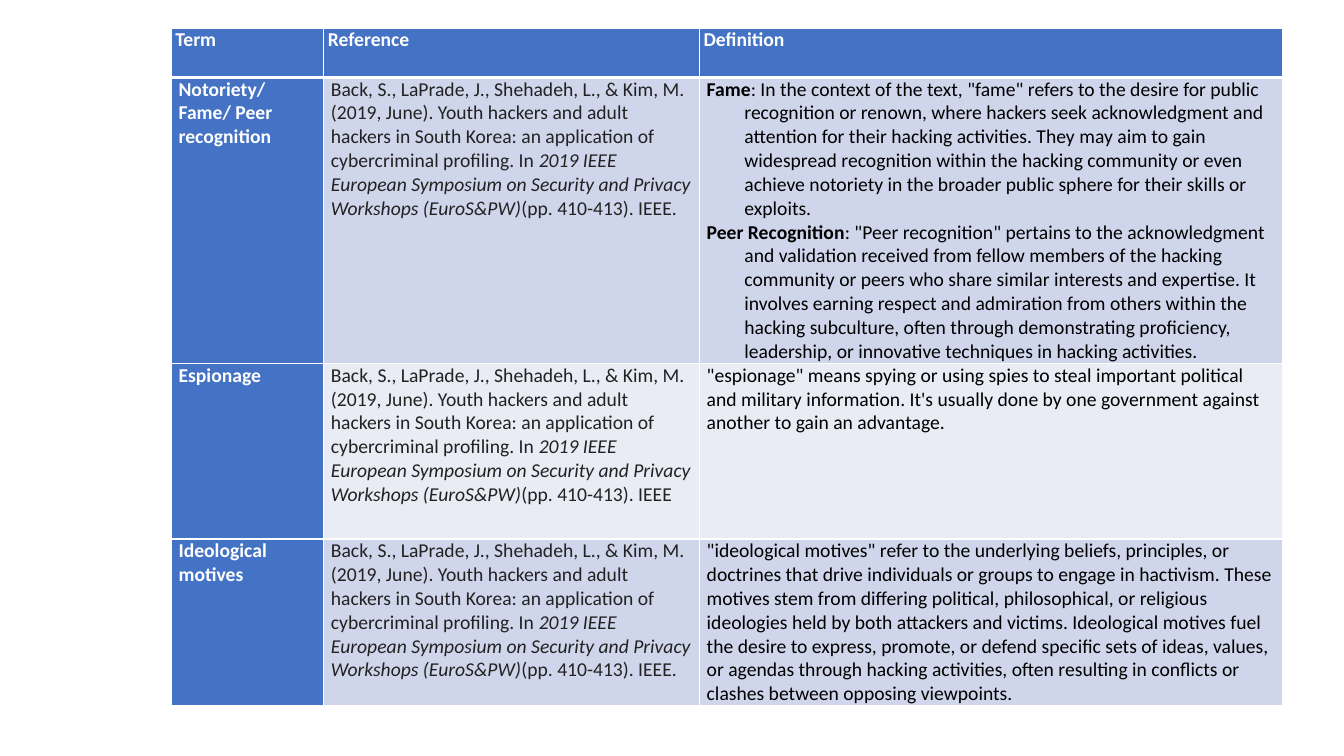
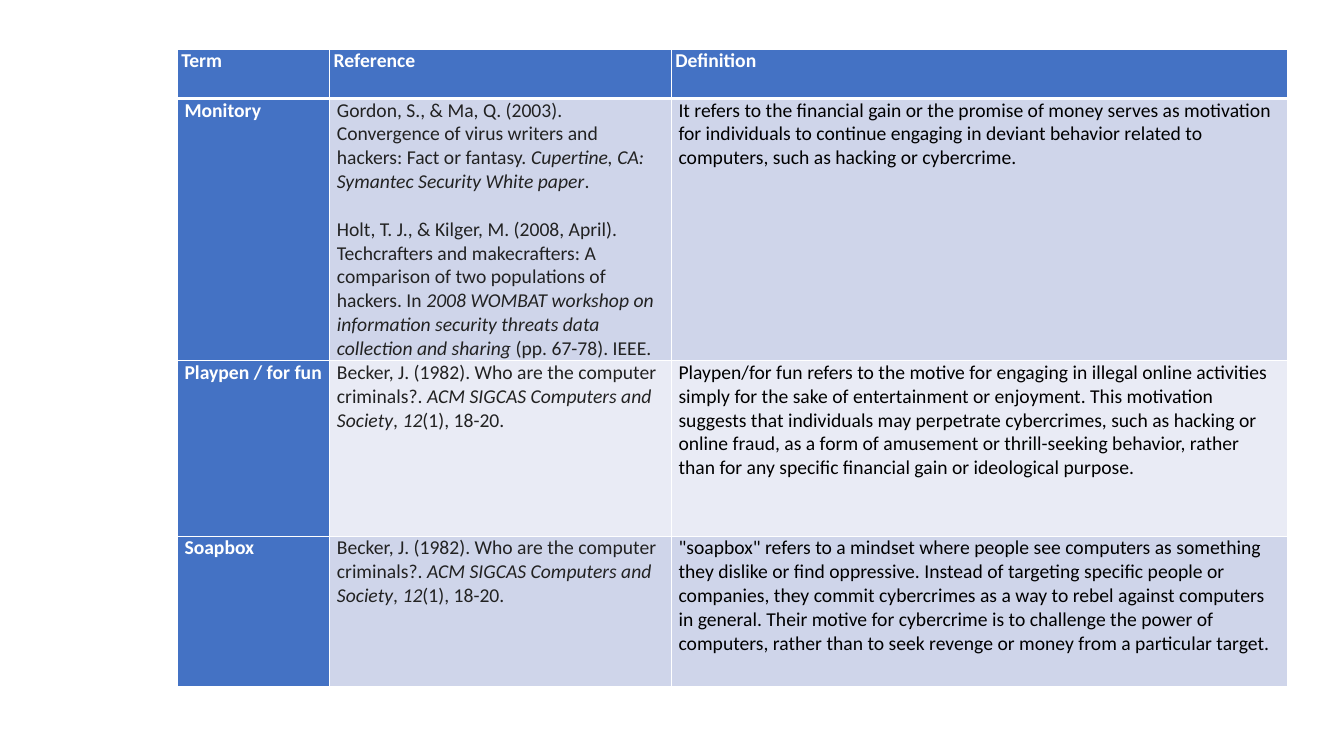
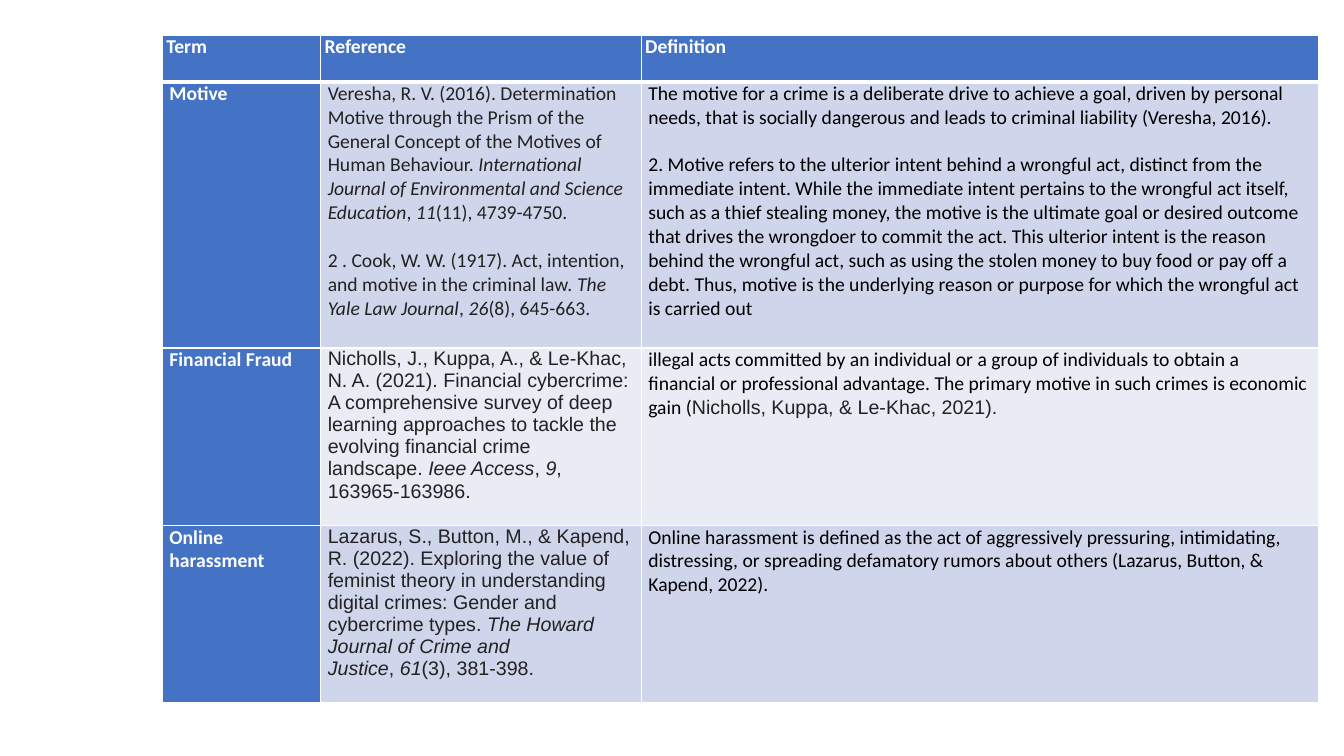
"""Three glossary slides of cybercrime motives, each one table of terms, references and definitions."""
from lxml import etree
from pptx import Presentation
from pptx import util as u
from pptx.dml.color import RGBColor
from pptx.oxml.ns import qn

COLORS = {
    "accent": "4472C4",
    "band": "CFD5EA",
    "light": "E9EBF5",
    "white": "FFFFFF",
    "citation": "222222",
    "body": "000000",
}
BODY_FONT, CITATION_FONT = "Calibri", "Arial"
TEXT_SIZE = u.Pt(14)
ENTRY_GAP = u.Pt(17)
HANGING = u.Cm(0.95)
HEADINGS = ["Term", "Reference", "Definition"]
ITALIC, BOLD, CITED = "*", "^", "~"
NO_BREAK_SPACE = chr(160)

BACK = (
    "Back, S., LaPrade, J., Shehadeh, L., & Kim, M. (2019, June). Youth hackers and adult hackers in "
    "South Korea: an application of cybercriminal profiling. In *2019 IEEE European Symposium on "
    "Security and Privacy Workshops (EuroS&PW)*(pp. 410-413). IEEE"
)
BECKER = "Becker, J. (1982). Who are the computer criminals?. *ACM SIGCAS Computers and Society*, *12*(1), 18-20."

GLOSSARY = [
    {
        "left": 4.32, "top": 0.71, "height": 16.94,
        "columns": [3.84, 9.47, 14.68],
        "rows": [1.24, 5.69, 4.42, 3.78],
        "entries": [
            ("Notoriety/ Fame/ Peer recognition", [BACK + "."], [
                '^Fame^: In the context of the text, "fame" refers to the desire for public recognition or '
                "renown, where hackers seek acknowledgment and attention for their hacking activities. They "
                "may aim to gain widespread recognition within the hacking community or even achieve "
                "notoriety in the broader public sphere for their skills or exploits.",
                '^Peer Recognition^: "Peer recognition" pertains to the acknowledgment and validation '
                "received from fellow members of the hacking community or peers who share similar interests "
                "and expertise. It involves earning respect and admiration from others within the hacking "
                "subculture, often through demonstrating proficiency, leadership, or innovative techniques "
                "in hacking activities.",
            ], BODY_FONT),
            ("Espionage", [BACK], [
                '"espionage" means spying or using spies to steal important political and military '
                "information. It's usually done by one government against another to gain an advantage.",
            ], BODY_FONT),
            ("Ideological motives", [BACK + "."], [
                '"ideological motives" refer to the underlying beliefs, principles, or doctrines that drive '
                "individuals or groups to engage in hactivism. These motives stem from differing political, "
                "philosophical, or religious ideologies held by both attackers and victims. Ideological "
                "motives fuel the desire to express, promote, or defend specific sets of ideas, values, or "
                "agendas through hacking activities, often resulting in conflicts or clashes between "
                "opposing viewpoints.",
            ], BODY_FONT),
        ],
    },
    {
        "left": 4.47, "top": 1.24, "height": 15.98,
        "columns": [3.84, 8.61, 15.54],
        "rows": [1.24, 5.69, 4.42, 3.78],
        "entries": [
            ("Monitory", [
                "Gordon, S., & Ma, Q. (2003). Convergence of virus writers and hackers: Fact or fantasy. "
                "*Cupertine, CA: Symantec Security White paper*.",
                "Holt, T. J., & Kilger, M. (2008, April). Techcrafters and makecrafters: A comparison of two "
                "populations of hackers. In *2008 WOMBAT workshop on information security threats data "
                "collection and sharing* (pp. 67-78). IEEE.",
            ], [
                "It refers to the financial gain or the promise of money serves as motivation for "
                "individuals to continue engaging in deviant behavior related to computers, such as hacking "
                "or cybercrime.",
            ], BODY_FONT),
            ("Playpen / for fun", [BECKER], [
                "Playpen/for fun refers to the motive for engaging in illegal online activities simply for "
                "the sake of entertainment or enjoyment. This motivation suggests that individuals may "
                "perpetrate cybercrimes, such as hacking or online fraud, as a form of amusement or "
                "thrill-seeking behavior, rather than for any specific financial gain or ideological purpose.",
            ], BODY_FONT),
            ("Soapbox", [BECKER], [
                '"soapbox" refers to a mindset where people see computers as something they dislike or find '
                "oppressive. Instead of targeting specific people or companies, they commit cybercrimes as a "
                "way to rebel against computers in general. Their motive for cybercrime is to challenge the "
                "power of computers, rather than to seek revenge or money from a particular target.",
            ], BODY_FONT),
        ],
    },
    {
        "left": 4.09, "top": 0.89, "height": 16.79,
        "columns": [3.99, 8.08, 17.07],
        "rows": [1.17, 6.71, 4.47, 4.47],
        "entries": [
            ("Motive", [
                "Veresha, R. V. (2016). Determination Motive through the Prism of the General Concept of the "
                "Motives of Human Behaviour. *International Journal of Environmental and Science "
                "Education*, *11*(11), 4739-4750.",
                "2 . Cook, W. W. (1917). Act, intention, and motive in the criminal law. "
                "*The Yale Law Journal*, *26*(8), 645-663.",
            ], [
                "The motive for a crime is a deliberate drive to achieve a goal, driven by personal needs, "
                "that is socially dangerous and leads to criminal liability (Veresha, 2016).",
                "2. Motive refers to the ulterior intent behind a wrongful act, distinct from the immediate "
                "intent. While the immediate intent pertains to the wrongful act itself, such as a thief "
                "stealing money, the motive is the ultimate goal or desired outcome that drives the "
                "wrongdoer to commit the act. This ulterior intent is the reason behind the wrongful act, "
                "such as using the stolen money to buy food or pay off a debt. Thus, motive is the "
                "underlying reason or purpose for which the wrongful act is carried out",
            ], BODY_FONT),
            ("Financial Fraud", [
                "Nicholls, J., Kuppa, A., & Le-Khac, N. A. (2021). Financial cybercrime: A comprehensive "
                "survey of deep learning approaches to tackle the evolving financial crime landscape. "
                "*Ieee Access*, *9*, 163965-163986.",
            ], [
                "illegal acts committed by an individual or a group of individuals to obtain a financial or "
                "professional advantage. The primary motive in such crimes is economic gain "
                "(~Nicholls, Kuppa, & Le-Khac, 2021).~",
            ], CITATION_FONT),
            ("Online harassment", [
                "Lazarus, S., Button, M., & Kapend, R. (2022). Exploring the value of feminist theory in "
                "understanding digital crimes: Gender and cybercrime types. "
                "*The Howard Journal of Crime and Justice*, *61*(3), 381-398.",
            ], [
                "Online harassment is defined as the act of aggressively pressuring, intimidating, "
                "distressing, or spreading defamatory rumors about others (Lazarus, Button, & Kapend, 2022).",
            ], CITATION_FONT),
        ],
    },
]


def rgb(name):
    """Return the named colour."""
    return RGBColor.from_string(COLORS[name])


def set_borders(cell, top, bottom):
    """Draw white cell borders; top and bottom are widths in points."""
    properties = cell._tc.get_or_add_tcPr()
    for side, width in (("L", 1), ("R", 1), ("T", top), ("B", bottom)):
        border = etree.SubElement(properties, qn(f"a:ln{side}"), w=str(u.Pt(width)))
        paint = etree.SubElement(border, qn("a:solidFill"))
        etree.SubElement(paint, qn("a:srgbClr"), val=COLORS["white"])


def add_runs(paragraph, entry):
    """Write the entry, styling what stands between its marks."""
    mark = next((m for m in (ITALIC, BOLD, CITED) if m in entry), None)
    for index, piece in enumerate(entry.split(mark) if mark else [entry]):
        if not piece:
            continue
        if piece.endswith(" "):
            piece = piece[:-1] + NO_BREAK_SPACE
        if piece.startswith(" "):
            piece = NO_BREAK_SPACE + piece[1:]
        run = paragraph.add_run()
        run.text = piece
        if index % 2 and mark == ITALIC:
            run.font.italic = True
        elif index % 2 and mark == BOLD:
            run.font.bold = True
        elif index % 2:
            run.font.name = CITATION_FONT
            run.font.color.rgb = rgb("citation")


def fill_cell(cell, entries, fill, color, bold=False, font=BODY_FONT, inset=0.18, top=1, bottom=1):
    """Format one cell and write its entries as paragraphs."""
    set_borders(cell, top, bottom)
    cell.fill.solid()
    cell.fill.fore_color.rgb = rgb(fill)
    cell.margin_left = cell.margin_right = u.Cm(inset)
    cell.margin_top = cell.margin_bottom = 0
    for number, entry in enumerate(entries):
        paragraph = cell.text_frame.add_paragraph() if number else cell.text_frame.paragraphs[0]
        if BOLD in entry:
            layout = paragraph._p.get_or_add_pPr()
            layout.set("marL", str(HANGING))
            layout.set("indent", str(-HANGING))
        elif number:
            paragraph.space_before = ENTRY_GAP
        paragraph.font.size = TEXT_SIZE
        paragraph.font.name = font
        paragraph.font.bold = bold
        paragraph.font.color.rgb = rgb(color)
        add_runs(paragraph, entry)


def add_glossary(slide, page):
    """Place the glossary table of one page."""
    frame = slide.shapes.add_table(
        len(page["rows"]), len(HEADINGS), u.Cm(page["left"]), u.Cm(page["top"]),
        u.Cm(sum(page["columns"])), u.Cm(page["height"]))
    table = frame.table
    table.first_col = True
    for column, width in zip(table.columns, page["columns"]):
        column.width = u.Cm(width)
    for row, height in zip(table.rows, page["rows"]):
        row.height = u.Cm(height)
    frame.height = u.Cm(page["height"])
    for column, heading in enumerate(HEADINGS):
        fill_cell(table.cell(0, column), [heading], "accent", "white", bold=True, inset=0.1, bottom=3)
    for row, (term, references, definitions, font) in enumerate(page["entries"], 1):
        band = "band" if row % 2 else "light"
        top = 3 if row == 1 else 1
        fill_cell(table.cell(row, 0), [term], "accent", "white", bold=True, top=top)
        fill_cell(table.cell(row, 1), references, band, "citation", font=font, top=top)
        fill_cell(table.cell(row, 2), definitions, band, "body", top=top)


def main():
    """Build and save the deck."""
    deck = Presentation()
    deck.slide_width, deck.slide_height = u.Cm(33.87), u.Cm(19.05)
    for page in GLOSSARY:
        add_glossary(deck.slides.add_slide(deck.slide_layouts[6]), page)
    deck.save("out.pptx")


if __name__ == "__main__":
    main()
